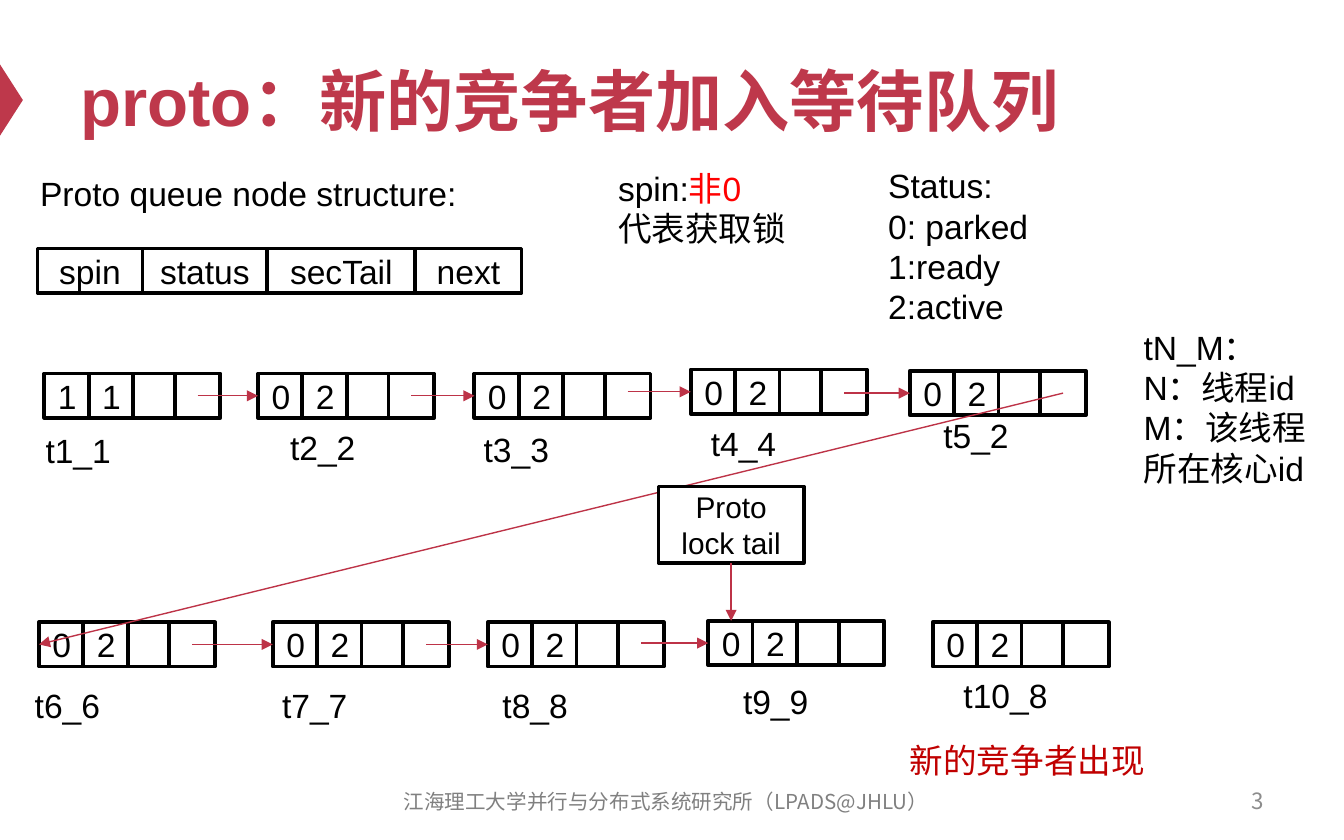
from typing import NamedTuple

from lxml.etree import SubElement
from pptx import Presentation
from pptx.dml.color import RGBColor
from pptx.enum.shapes import MSO_CONNECTOR, MSO_SHAPE
from pptx.enum.text import MSO_ANCHOR, PP_ALIGN
from pptx.oxml.ns import qn
from pptx.shapes.autoshape import Shape
from pptx.shapes.connector import Connector
from pptx.util import Inches, Pt

BLACK = RGBColor(0x00, 0x00, 0x00)
WHITE = RGBColor(0xFF, 0xFF, 0xFF)
CRIMSON = RGBColor(0xBE, 0x38, 0x4B)
ARROW_RED = RGBColor(0xBD, 0x33, 0x47)
RED = RGBColor(0xFF, 0x00, 0x00)
DARK_RED = RGBColor(0xC0, 0x00, 0x00)
FOOTER_GREY = RGBColor(0x80, 0x80, 0x80)
NUMBER_GREY = RGBColor(0x8C, 0x8C, 0x8C)

LATIN_FONT = "Arial"
CJK_FONT = "Noto Sans CJK SC"

CELL_WIDTH = 0.34
CELL_HEIGHT = 0.33
CELL_OFFSETS = (0, 0.33, 0.66, 0.97)
POINTER_OFFSET = 1.14  # where a node's outgoing arrow starts


class Node(NamedTuple):
    name: str
    left: float
    top: float
    spin: str
    status: str
    label_left: float
    label_top: float


class Field(NamedTuple):
    name: str
    width: float


class Label(NamedTuple):
    lines: tuple[str, ...]
    left: float
    top: float
    width: float
    height: float = 0.4
    size: float = 18
    color: RGBColor = BLACK
    font: str = LATIN_FONT
    bold: bool = False
    align: PP_ALIGN = PP_ALIGN.LEFT
    anchor: MSO_ANCHOR = MSO_ANCHOR.TOP


NODES = (
    Node("t1_1", 0.33, 2.78, "1", "1", 0.24, 3.15),
    Node("t2_2", 1.92, 2.78, "0", "2", 2.06, 3.13),
    Node("t3_3", 3.53, 2.78, "0", "2", 3.5, 3.14),
    Node("t4_4", 5.14, 2.75, "0", "2", 5.19, 3.1),
    Node("t5_2", 6.77, 2.76, "0", "2", 6.92, 3.04),
    Node("t6_6", 0.29, 4.63, "0", "2", 0.16, 5.05),
    Node("t7_7", 2.03, 4.63, "0", "2", 2.0, 5.05),
    Node("t8_8", 3.63, 4.63, "0", "2", 3.64, 5.05),
    Node("t9_9", 5.27, 4.62, "0", "2", 5.43, 5.02),
    Node("t10_8", 6.94, 4.63, "0", "2", 7.07, 4.97),
)
QUEUED = NODES[:-1]

FIELDS = (
    Field("spin", 0.78),
    Field("status", 0.93),
    Field("secTail", 1.1),
    Field("next", 0.79),
)

LABELS = (
    Label(("proto：新的竞争者加入等待队列",), 0.5, 0.25, 9, 0.98, size=36,
          color=CRIMSON, bold=True, anchor=MSO_ANCHOR.MIDDLE),
    Label(("江海理工大学并行与分布式系统研究所（LPADS@JHLU）",), 2.79, 5.8, 4.33, 0.33,
          size=11, color=FOOTER_GREY, font=CJK_FONT, align=PP_ALIGN.CENTER,
          anchor=MSO_ANCHOR.MIDDLE),
    Label(("3",), 7.17, 5.79, 2.33, 0.33, size=12, color=NUMBER_GREY, font=CJK_FONT,
          align=PP_ALIGN.RIGHT, anchor=MSO_ANCHOR.MIDDLE),
    Label(("Proto queue node structure:",), 0.2, 1.24, 5.1),
    Label(("Status:", "0: parked", "1:ready", "2:active"), 6.51, 1.18, 1.39, 1.31),
    Label(("tN_M：", "N：线程id", "M：该线程", "所在核心id"), 8.41, 2.38, 1.75, 1.31),
    Label(("新的竞争者出现",), 6.67, 5.46, 2.13, color=DARK_RED),
)


def write_lines(shape: Shape, lines: tuple[str, ...], size: float, color: RGBColor,
                align: PP_ALIGN, font: str = LATIN_FONT, bold: bool = False) -> None:
    frame = shape.text_frame
    frame.text = "\n".join(lines)
    for para in frame.paragraphs:
        para.alignment = align
        para.font.size = Pt(size)
        para.font.bold = bold
        para.font.color.rgb = color
        para.font.name = font
        properties = para._p.pPr.find(qn("a:defRPr"))
        SubElement(properties, qn("a:ea")).set("typeface", CJK_FONT)


def add_label(slide, label: Label) -> Shape:
    box = slide.shapes.add_textbox(Inches(label.left), Inches(label.top),
                                   Inches(label.width), Inches(label.height))
    box.text_frame.word_wrap = True
    box.text_frame.vertical_anchor = label.anchor
    write_lines(box, label.lines, label.size, label.color, label.align,
                label.font, label.bold)
    return box


def add_cell(slide, left: float, top: float, width: float, height: float,
             lines: tuple[str, ...] = (), size: float = 18) -> Shape:
    cell = slide.shapes.add_shape(MSO_SHAPE.RECTANGLE, Inches(left), Inches(top),
                                  Inches(width), Inches(height))
    cell.shadow.inherit = False
    cell.fill.solid()
    cell.fill.fore_color.rgb = WHITE
    cell.line.color.rgb = BLACK
    cell.line.width = Pt(2)
    if lines:
        frame = cell.text_frame
        frame.margin_left = frame.margin_right = 0
        frame.margin_top = frame.margin_bottom = 0
        frame.vertical_anchor = MSO_ANCHOR.MIDDLE
        write_lines(cell, lines, size, BLACK, PP_ALIGN.CENTER)
    return cell


def add_node(slide, node: Node) -> Shape:
    """Draw a queue node with its label and return its first cell."""
    texts = ((node.spin,), (node.status,), (), ())
    cells = [add_cell(slide, node.left + offset, node.top, CELL_WIDTH, CELL_HEIGHT, text)
             for offset, text in zip(CELL_OFFSETS, texts)]
    add_label(slide, Label((node.name,), node.label_left, node.label_top, 0.95))
    return cells[0]


def add_arrow(slide, left: float, top: float, target: Shape, side: int) -> Connector:
    arrow = slide.shapes.add_connector(MSO_CONNECTOR.STRAIGHT, Inches(left), Inches(top),
                                       target.left, target.top)
    arrow.end_connect(target, side)
    arrow.line.color.rgb = ARROW_RED
    arrow.line.width = Pt(0.75)
    SubElement(arrow.line._get_or_add_ln(), qn("a:tailEnd")).set("type", "triangle")
    SubElement(arrow._element.spPr, qn("a:effectLst"))
    return arrow


def add_title_marker(slide) -> None:
    marker = slide.shapes.add_shape(MSO_SHAPE.ISOSCELES_TRIANGLE, Inches(-0.18),
                                    Inches(0.66), Inches(0.53), Inches(0.17))
    marker.rotation = 90
    marker.shadow.inherit = False
    marker.fill.solid()
    marker.fill.fore_color.rgb = CRIMSON
    marker.line.fill.background()


def add_spin_note(slide) -> None:
    box = add_label(slide, Label(("spin:",), 4.5, 1.2, 1.49, 0.71))
    para = box.text_frame.paragraphs[0]
    span = para.add_run()
    span.text = "非0"
    span.font.color.rgb = RED
    para.add_line_break()
    para.add_run().text = "代表获取锁"


def main() -> None:
    deck = Presentation()
    deck.slide_width, deck.slide_height = Inches(10), Inches(6.25)
    page = deck.slides.add_slide(deck.slide_layouts[6])

    add_title_marker(page)
    for label in LABELS:
        add_label(page, label)
    add_spin_note(page)

    field_left = 0.28
    for field in FIELDS:
        add_cell(page, field_left, 1.85, field.width, CELL_HEIGHT, (field.name,))
        field_left += field.width

    heads = {node.name: add_node(page, node) for node in NODES}
    for node, follower in zip(QUEUED, QUEUED[1:]):
        same_row = follower.left > node.left
        level = follower.top if same_row else node.top
        add_arrow(page, node.left + POINTER_OFFSET, level + CELL_HEIGHT / 2,
                  heads[follower.name], 1)

    tail_box = add_cell(page, 4.9, 3.62, 1.08, 0.57, ("Proto", "lock tail"), 16)
    tail_arrow = add_arrow(page, 5.44, 4.19, heads["t9_9"], 0)
    tail_arrow.begin_connect(tail_box, 2)

    deck.save("out.pptx")


if __name__ == "__main__":
    main()
